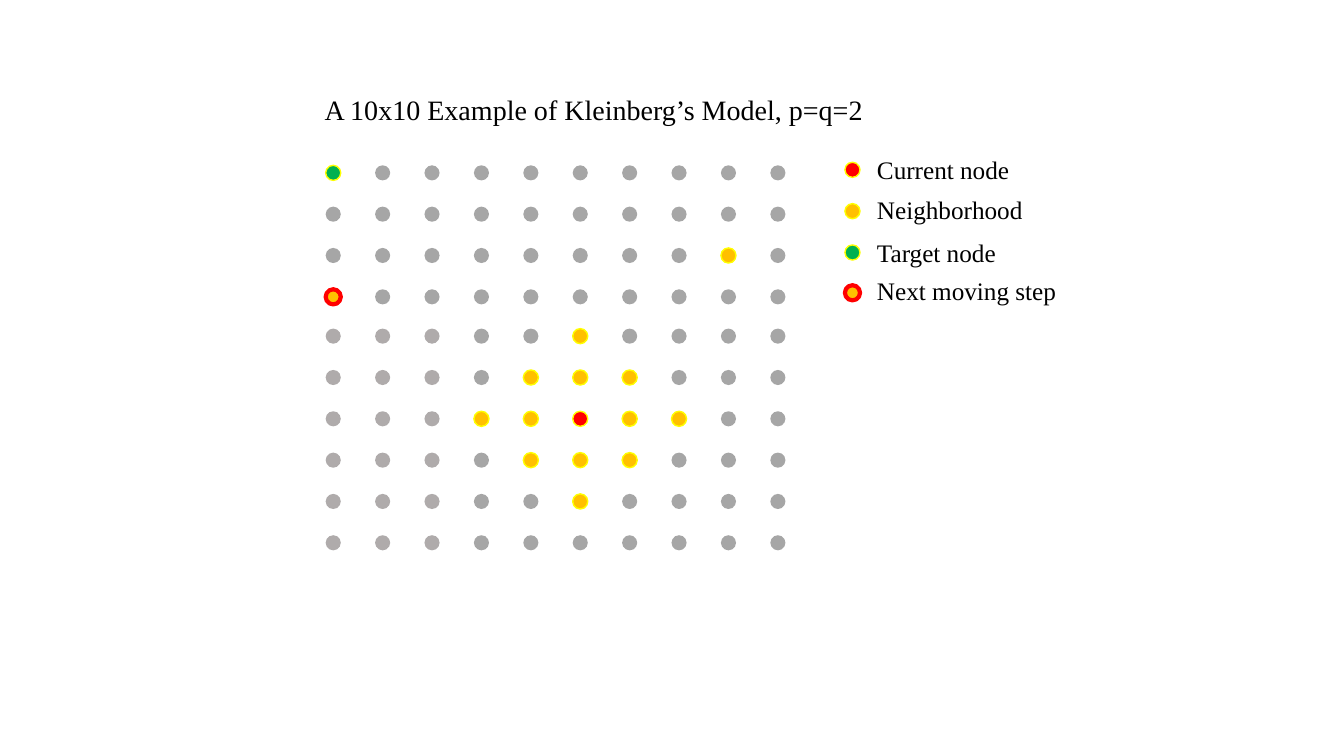
from dataclasses import dataclass
from typing import Optional

from pptx import Presentation
from pptx.dml.color import RGBColor
from pptx.enum.shapes import MSO_SHAPE as Shape
from pptx.enum.text import MSO_AUTO_SIZE as AutoSize
from pptx.slide import Slide
from pptx.util import Emu, Pt

EMU_PER_PX = 9144


@dataclass(frozen=True)
class Theme:
    font: str = "Times New Roman"
    title_size: int = 20
    label_size: int = 18
    text: str = "000000"
    gray: str = "A6A6A6"
    pale: str = "AFABAB"
    red: str = "FF0000"
    green: str = "00B050"
    gold: str = "FFC000"
    yellow: str = "FFFF00"


@dataclass(frozen=True)
class NodeStyle:
    fill: str
    line: Optional[str] = None
    line_width: int = 1


@dataclass(frozen=True)
class LegendEntry:
    label: str
    style: NodeStyle
    dot_top: int
    label_top: int


THEME = Theme()

PLAIN = NodeStyle(THEME.gray)
PALE = NodeStyle(THEME.pale)
CURRENT = NodeStyle(THEME.red, THEME.yellow)
NEIGHBOR = NodeStyle(THEME.gold, THEME.yellow)
TARGET = NodeStyle(THEME.green, THEME.yellow)
NEXT_STEP = NodeStyle(THEME.gold, THEME.red, 3)

GRID_SIZE = 10
GRID_LEFT, GRID_TOP = 323, 164
COLUMN_PITCH, ROW_PITCH = 49, 41
LOWER_HALF_ROW, LOWER_HALF_SHIFT = 4, -2
PALE_COLUMNS = 3
DOT_SIZE = 15

CURRENT_COLUMN, CURRENT_ROW = 5, 6
NEIGHBOR_REACH = 2
SPECIAL_NODES = {
    (0, 0): TARGET,
    (0, 3): NEXT_STEP,
    (8, 2): NEIGHBOR,
    (CURRENT_COLUMN, CURRENT_ROW): CURRENT,
}

LEGEND_DOT_LEFT, LEGEND_LABEL_LEFT = 838, 860
LEGEND = [
    LegendEntry("Current node", CURRENT, 161, 148),
    LegendEntry("Neighborhood", NEIGHBOR, 202, 188),
    LegendEntry("Target node", TARGET, 243, 231),
    LegendEntry("Next moving step", NEXT_STEP, 283, 268),
]


def px(length: int) -> Emu:
    return Emu(length * EMU_PER_PX)


def node_style(column: int, row: int) -> NodeStyle:
    if (column, row) in SPECIAL_NODES:
        return SPECIAL_NODES[column, row]
    if abs(column - CURRENT_COLUMN) + abs(row - CURRENT_ROW) <= NEIGHBOR_REACH:
        return NEIGHBOR
    if column < PALE_COLUMNS and row >= LOWER_HALF_ROW:
        return PALE
    return PLAIN


def add_node(page: Slide, left: int, top: int, style: NodeStyle) -> None:
    node = page.shapes.add_shape(
        Shape.OVAL, px(left), px(top), px(DOT_SIZE), px(DOT_SIZE)
    )
    node.shadow.inherit = False
    node.fill.solid()
    node.fill.fore_color.rgb = RGBColor.from_string(style.fill)
    if style.line is None:
        node.line.fill.background()
    else:
        node.line.color.rgb = RGBColor.from_string(style.line)
        node.line.width = Pt(style.line_width)


def add_label(
    page: Slide, text: str, left: int, top: int, width: int, height: int, size: int
) -> None:
    box = page.shapes.add_textbox(px(left), px(top), px(width), px(height))
    frame = box.text_frame
    frame.word_wrap = True
    frame.auto_size = AutoSize.SHAPE_TO_FIT_TEXT
    frame.text = text
    span = frame.paragraphs[0].runs[0]
    span.font.name = THEME.font
    span.font.size = Pt(size)
    span.font.color.rgb = RGBColor.from_string(THEME.text)


def add_grid(page: Slide) -> None:
    for row in range(GRID_SIZE):
        shift = LOWER_HALF_SHIFT if row >= LOWER_HALF_ROW else 0
        top = GRID_TOP + row * ROW_PITCH + shift
        for column in range(GRID_SIZE):
            left = GRID_LEFT + column * COLUMN_PITCH
            add_node(page, left, top, node_style(column, row))


def add_legend(page: Slide) -> None:
    for entry in LEGEND:
        add_node(page, LEGEND_DOT_LEFT, entry.dot_top, entry.style)
        add_label(
            page, entry.label, LEGEND_LABEL_LEFT, entry.label_top, 213, 40,
            THEME.label_size,
        )


def main() -> None:
    deck = Presentation()
    deck.slide_width, deck.slide_height = px(1333), px(750)
    page = deck.slides.add_slide(deck.slide_layouts[6])
    add_label(
        page, "A 10x10 Example of Kleinberg’s Model, p=q=2", 312, 87, 665, 44,
        THEME.title_size,
    )
    add_grid(page)
    add_legend(page)
    deck.save("out.pptx")


if __name__ == "__main__":
    main()
